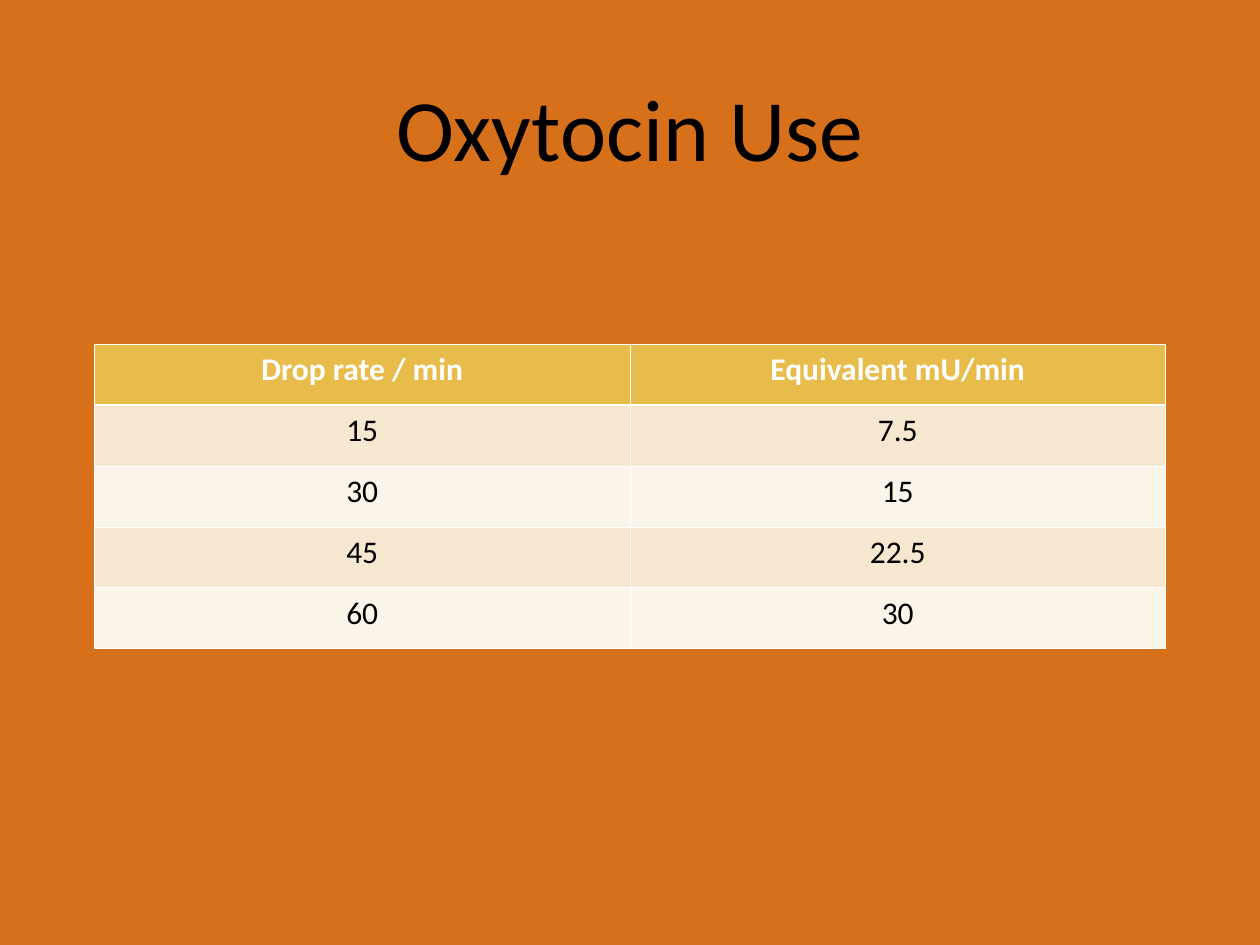
from lxml import etree
from pptx import Presentation
from pptx.dml.color import RGBColor
from pptx.enum.text import MSO_ANCHOR, PP_ALIGN
from pptx.oxml.ns import qn
from pptx.util import Inches, Pt

TOP = MSO_ANCHOR.TOP
CENTER = PP_ALIGN.CENTER

TITLE = "Oxytocin Use"
ROWS = [
    ("Drop rate / min", "Equivalent mU/min"),
    ("15", "7.5"),
    ("30", "15"),
    ("45", "22.5"),
    ("60", "30"),
]
COLORS = {
    "background": "D6701A",
    "header": "E8BC4A",
    "odd": "F6E7D0",
    "even": "FBF4E9",
    "white": "FFFFFF",
    "black": "000000",
}
TITLE_FONT = {"name": "Calibri", "size": Pt(50), "bold": False}
HEADER_FONT = {"name": "Calibri", "size": Pt(18), "bold": True}
BODY_FONT = {**HEADER_FONT, "bold": False}
THIN, THICK = 0.45, 1.47


def color(name):
    return RGBColor.from_string(COLORS[name])


def write(tf, text, font, font_color):
    p = tf.paragraphs[0]
    p.alignment = CENTER
    r = p.add_run()
    r.text = text
    for key, value in font.items():
        setattr(r.font, key, value)
    r.font.color.rgb = color(font_color)


def add_borders(cell, widths):
    tc_pr = cell._tc.get_or_add_tcPr()
    for i, (side, width) in enumerate(widths.items()):
        ln = etree.Element(qn(f"a:ln{side}"), w=str(Pt(width)))
        fill = etree.SubElement(ln, qn("a:solidFill"))
        etree.SubElement(fill, qn("a:srgbClr"), val=COLORS["white"])
        tc_pr.insert(i, ln)


prs = Presentation()
prs.slide_width, prs.slide_height = Inches(10), Inches(7.5)
s = prs.slides.add_slide(prs.slide_layouts[5])
s.background.fill.solid()
s.background.fill.fore_color.rgb = color("background")

title = s.shapes.title
title.left, title.top = Inches(0.5), Inches(0.5)
title.width, title.height = Inches(9), Inches(1.25)
tf = title.text_frame
tf.vertical_anchor = TOP
tf.margin_top = Inches(0.09)
write(tf, TITLE, TITLE_FONT, "black")

table = s.shapes.add_table(
    len(ROWS), len(ROWS[0]), Inches(0.75), Inches(2.73), Inches(8.5), Inches(2.42)
).table
for i, values in enumerate(ROWS):
    is_header = i == 0
    fill = "header" if is_header else "odd" if i % 2 else "even"
    font = HEADER_FONT if is_header else BODY_FONT
    widths = {
        "L": THIN,
        "R": THIN,
        "T": THICK if i == 1 else THIN,
        "B": THICK if is_header else THIN,
    }
    for j, value in enumerate(values):
        cell = table.cell(i, j)
        cell.fill.solid()
        cell.fill.fore_color.rgb = color(fill)
        add_borders(cell, widths)
        write(cell.text_frame, value, font, "white" if is_header else "black")

prs.save("out.pptx")
